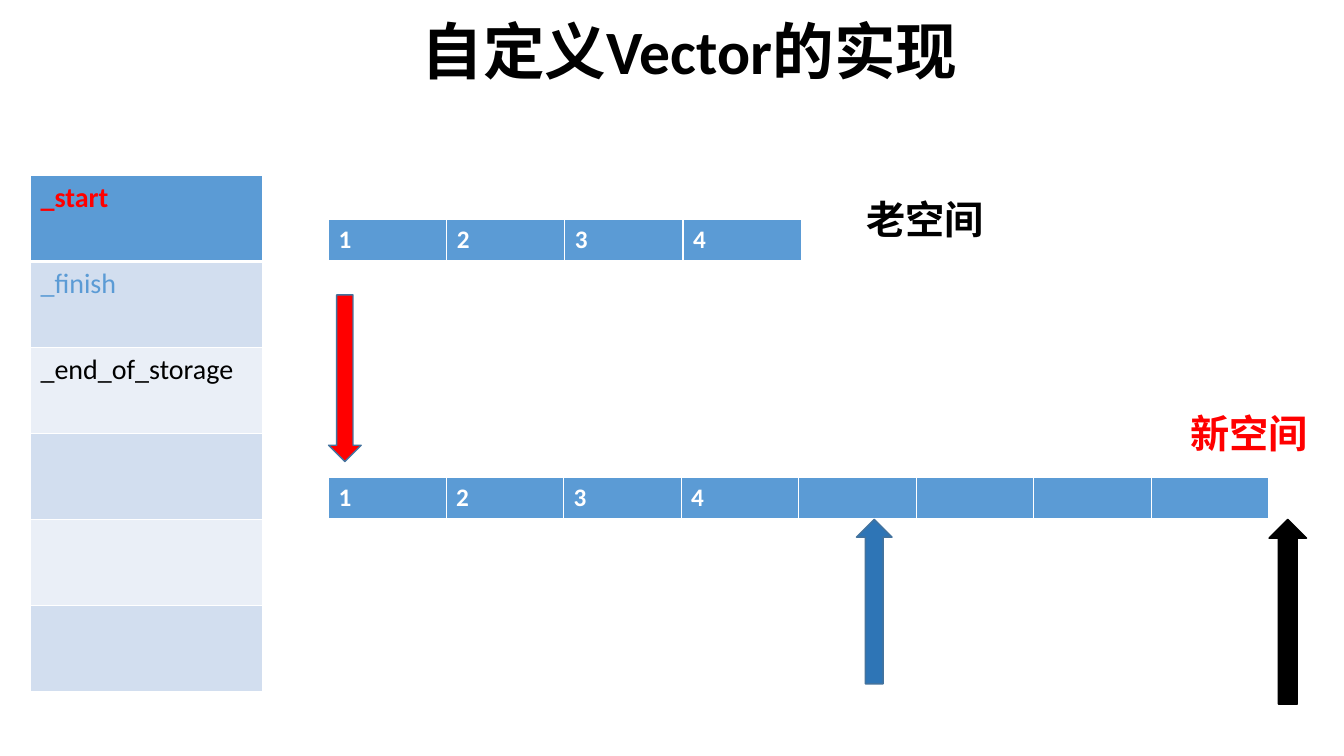
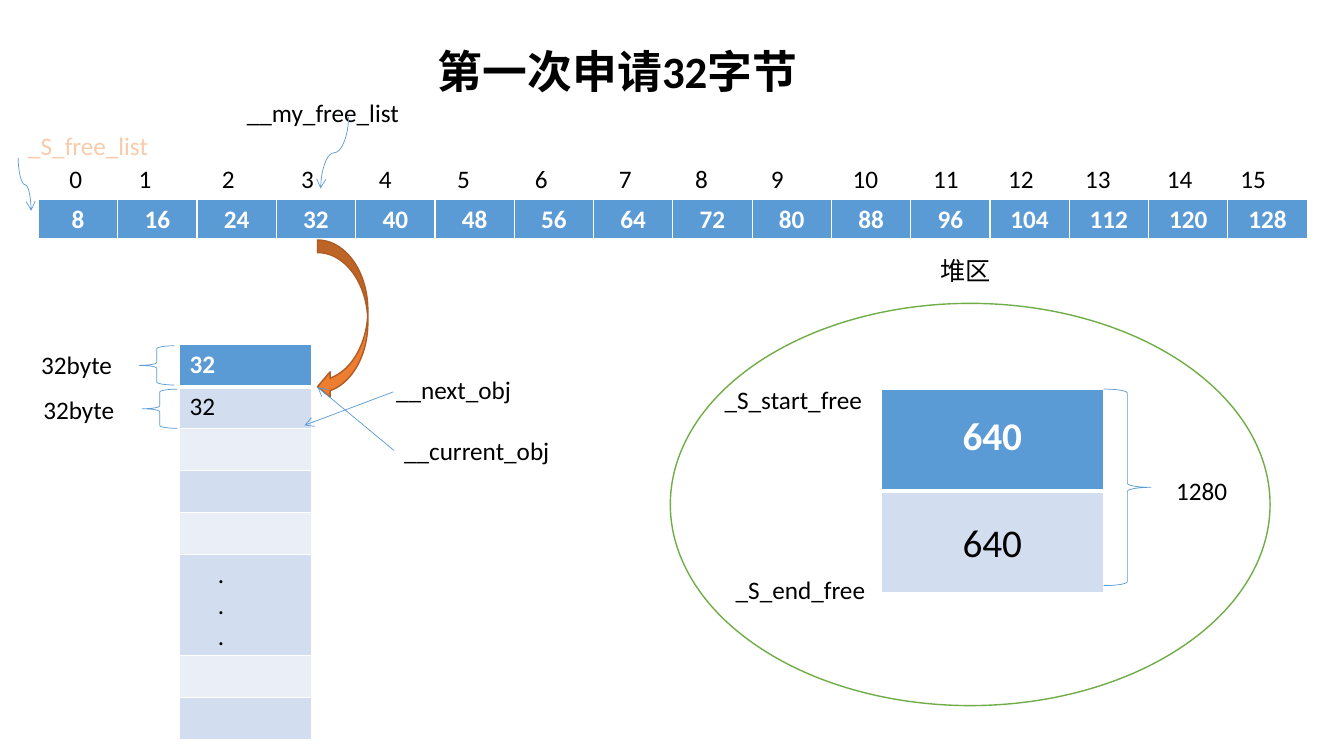
from dataclasses import dataclass

from lxml import etree
from pptx import Presentation
from pptx.dml.color import RGBColor
from pptx.enum.shapes import MSO_CONNECTOR, MSO_SHAPE
from pptx.enum.text import MSO_ANCHOR, MSO_AUTO_SIZE, PP_ALIGN
from pptx.oxml.ns import qn
from pptx.shapes.autoshape import Shape
from pptx.shapes.connector import Connector
from pptx.slide import Slide
from pptx.text.text import TextFrame
from pptx.util import Pt

LEFT, CENTER = PP_ALIGN.LEFT, PP_ALIGN.CENTER
TOP = MSO_ANCHOR.TOP
NO_AUTOFIT = MSO_AUTO_SIZE.NONE
STRAIGHT, CURVE = MSO_CONNECTOR.STRAIGHT, MSO_CONNECTOR.CURVE
DOWN_ARROW, UP_ARROW = MSO_SHAPE.DOWN_ARROW, MSO_SHAPE.UP_ARROW
CURVED_ARROW, OVAL = MSO_SHAPE.CURVED_LEFT_ARROW, MSO_SHAPE.OVAL
LEFT_BRACE, RIGHT_BRACE = MSO_SHAPE.LEFT_BRACE, MSO_SHAPE.RIGHT_BRACE
TITLE_ONLY = 5
LEFT_SIDE = 1
FONT = "Calibri"

COLORS = {
    "black": "000000",
    "white": "FFFFFF",
    "red": "FF0000",
    "blue": "5B9BD5",
    "deep blue": "2E75B6",
    "blue edge": "43739E",
    "dark band": "D2DEEF",
    "light band": "EAEFF7",
    "peach": "F8CBAD",
    "orange": "ED7D31",
    "orange edge": "AF5C24",
    "green": "70AD47",
}


@dataclass
class Label:
    text: str
    left: float
    top: float
    width: float
    size: float = 18
    color: str = "black"
    bold: bool = False


@dataclass
class Figure:
    kind: MSO_SHAPE
    left: float
    top: float
    width: float
    height: float
    fill: str | None
    line: str
    weight: float = 1


@dataclass
class Cell:
    text: str = ""
    fill: str = "blue"
    color: str = "white"
    size: float = 18
    bold: bool = False
    align: PP_ALIGN = LEFT
    spacing: float = 1
    indent: float = 0
    header: bool = False


def rgb(name: str) -> RGBColor:
    return RGBColor.from_string(COLORS[name])


def write_text(frame: TextFrame, text: str, *, size: float, color: str,
               bold: bool = False, align: PP_ALIGN = LEFT,
               spacing: float = 1, indent: float = 0) -> None:
    for index, line in enumerate(text.split("\n")):
        para = frame.paragraphs[0] if index == 0 else frame.add_paragraph()
        para.alignment = align
        para.line_spacing = spacing
        if indent:
            para._p.get_or_add_pPr().set("marL", str(Pt(indent)))
        span = para.add_run()
        span.text = line
        span.font.name = FONT
        span.font.size = Pt(size)
        span.font.bold = bold
        span.font.color.rgb = rgb(color)


def add_title(page: Slide, text: str, left: float, top: float,
              width: float, height: float, size: float) -> None:
    box = page.shapes.title
    box.left, box.top = Pt(left), Pt(top)
    box.width, box.height = Pt(width), Pt(height)
    frame = box.text_frame
    frame.auto_size = NO_AUTOFIT
    frame.vertical_anchor = TOP
    write_text(frame, text, size=size, color="black", bold=True)


def add_label(page: Slide, label: Label) -> Shape:
    box = page.shapes.add_textbox(Pt(label.left), Pt(label.top), Pt(label.width),
                                  Pt(label.size * 1.2 + 7.2))
    box.text_frame.word_wrap = True
    write_text(box.text_frame, label.text, size=label.size,
               color=label.color, bold=label.bold)
    return box


def add_figure(page: Slide, figure: Figure) -> None:
    shape = page.shapes.add_shape(figure.kind, Pt(figure.left), Pt(figure.top),
                                  Pt(figure.width), Pt(figure.height))
    shape.shadow.inherit = False
    if figure.fill:
        shape.fill.solid()
        shape.fill.fore_color.rgb = rgb(figure.fill)
    else:
        shape.fill.background()
    shape.line.color.rgb = rgb(figure.line)
    shape.line.width = Pt(figure.weight)


def style_connector(connector: Connector) -> None:
    connector.line.color.rgb = rgb("blue")
    connector.line.width = Pt(0.5)
    line = connector.line._get_or_add_ln()
    etree.SubElement(line, qn("a:tailEnd"), type="arrow")
    etree.SubElement(connector._element.spPr, qn("a:effectLst"))


def add_arrow(page: Slide, x1: float, y1: float, x2: float, y2: float,
              source: Shape | None = None) -> None:
    connector = page.shapes.add_connector(STRAIGHT, Pt(x1), Pt(y1), Pt(x2), Pt(y2))
    if source is not None:
        connector.begin_connect(source, LEFT_SIDE)
    style_connector(connector)


def add_falling_curve(page: Slide, x1: float, y1: float, x2: float, y2: float) -> None:
    middle_x, middle_y = (x1 + x2) / 2, (y1 + y2) / 2
    reach, drift = (y2 - y1) / 2, (x1 - x2) / 2
    connector = page.shapes.add_connector(
        CURVE, Pt(middle_x - reach), Pt(middle_y - drift),
        Pt(middle_x + reach), Pt(middle_y + drift))
    connector._element.spPr.find(qn("a:xfrm")).set("rot", str(90 * 60000))
    style_connector(connector)


def border_cell(properties: etree._Element, header: bool) -> None:
    for index, side in enumerate("LRTB"):
        weight = 3 if header and side == "B" else 1
        line = etree.Element(qn(f"a:ln{side}"), w=str(Pt(weight)))
        fill = etree.SubElement(line, qn("a:solidFill"))
        etree.SubElement(fill, qn("a:srgbClr"), val=COLORS["white"])
        properties.insert(index, line)


def add_grid(page: Slide, left: float, top: float, column_width: float,
             row_height: float, rows: list[list[Cell]]) -> None:
    count = len(rows[0])
    table = page.shapes.add_table(
        len(rows), count, Pt(left), Pt(top), Pt(column_width * count),
        Pt(row_height * len(rows))).table
    table.first_row = table.horz_banding = False
    for column in table.columns:
        column.width = Pt(column_width)
    for row_index, row in enumerate(rows):
        table.rows[row_index].height = Pt(row_height)
        for column_index, cell in enumerate(row):
            target = table.cell(row_index, column_index)
            target.fill.solid()
            target.fill.fore_color.rgb = rgb(cell.fill)
            border_cell(target._tc.get_or_add_tcPr(), cell.header)
            if cell.text:
                write_text(target.text_frame, cell.text, size=cell.size,
                           color=cell.color, bold=cell.bold, align=cell.align,
                           spacing=cell.spacing, indent=cell.indent)


def header_row(texts: list[str], align: PP_ALIGN = LEFT) -> list[list[Cell]]:
    return [[Cell(text, bold=True, align=align, header=True) for text in texts]]


def banded_column(cells: list[Cell]) -> list[list[Cell]]:
    for index, cell in enumerate(cells):
        if index == 0:
            cell.header = cell.bold = True
        else:
            cell.fill = "dark band" if index % 2 else "light band"
    return [[cell] for cell in cells]


def build_vector_page(page: Slide) -> None:
    add_title(page, "自定义Vector的实现", 294, 5.8, 490, 60.5, 44)
    members = [Cell("_start", color="red", size=20),
               Cell("_finish", color="blue", size=20),
               Cell("_end_of_storage", color="black", size=20),
               Cell(), Cell(), Cell()]
    add_grid(page, 21.8, 125.3, 165.6, 61.4, banded_column(members))
    values = ["1", "2", "3", "4"]
    add_grid(page, 234.7, 157, 84.4, 30, header_row(values))
    add_grid(page, 234.7, 341.3, 83.95, 30, header_row(values + [""] * 4))
    for figure in (
        Figure(DOWN_ARROW, 234.7, 210.7, 23.3, 119, "red", "blue edge"),
        Figure(UP_ARROW, 611.8, 371, 25.4, 117.5, "deep blue", "blue edge"),
        Figure(UP_ARROW, 906.5, 371, 26.8, 132, "black", "black"),
    ):
        add_figure(page, figure)
    add_label(page, Label("老空间", 612, 136.1, 237, 28, bold=True))
    add_label(page, Label("新空间", 843, 288.7, 105, 28, "red", True))


def build_allocation_page(page: Slide) -> None:
    add_title(page, "第一次申请32字节", 305.5, 27.4, 468, 46, 32)
    sizes = [str(8 * (index + 1)) for index in range(16)]
    add_grid(page, 27.5, 142.4, 56.65, 28, header_row(sizes, CENTER))
    index_lefts = [42.5, 92, 151.5, 208, 263.5, 319.5, 375, 435,
                   489.5, 543.5, 602, 659.5, 713, 768, 826.5, 879]
    for index, left in enumerate(index_lefts):
        add_label(page, Label(str(index), left, 113, 44))

    add_figure(page, Figure(OVAL, 478.8, 216.7, 428.4, 287.3, "white", "green"))
    halves = [Cell("640", size=28, align=CENTER, spacing=1.4),
              Cell("640", color="black", size=28, align=CENTER, spacing=1.5)]
    add_grid(page, 629.3, 277.9, 159, 72.7, banded_column(halves))
    blocks = [Cell("32"), Cell("32", color="black"), Cell(), Cell(), Cell(),
              Cell(".\n.\n.", color="black", indent=20.3), Cell(), Cell()]
    add_grid(page, 128.2, 246.2, 94.3, 30, banded_column(blocks))

    for figure in (
        Figure(RIGHT_BRACE, 788.4, 277.9, 33.8, 140.4, None, "blue", 0.5),
        Figure(LEFT_BRACE, 99.4, 247, 25.2, 28, None, "blue", 0.5),
        Figure(LEFT_BRACE, 101.5, 278, 25.2, 28, None, "blue", 0.5),
        Figure(CURVED_ARROW, 226.8, 171.4, 36, 113.8, "orange", "orange edge"),
    ):
        add_figure(page, figure)
    for label in (
        Label("_S_free_list", 13, 89.3, 130, color="peach"),
        Label("__my_free_list", 169.2, 66.2, 145),
        Label("堆区", 664.5, 178.6, 117),
        Label("1280", 833, 336.2, 60),
        Label("_S_start_free", 510.5, 270.7, 117),
        Label("_S_end_free", 518.4, 406.8, 107),
        Label("32byte", 22.3, 246.2, 68),
        Label("32byte", 23.8, 277.9, 68),
        Label("__next_obj", 275.8, 264.2, 185),
    ):
        add_label(page, label)
    current = add_label(page, Label("__current_obj", 281.5, 307.4, 146))
    add_arrow(page, 281.5, 321.8, 226.8, 276.5, current)
    add_arrow(page, 280.8, 280, 217.4, 303.8)
    add_falling_curve(page, 13, 113, 22.3, 150.5)
    add_falling_curve(page, 249, 83.5, 229, 134.6)


def main() -> None:
    deck = Presentation()
    deck.slide_width, deck.slide_height = Pt(960), Pt(540)
    for build in (build_vector_page, build_allocation_page):
        build(deck.slides.add_slide(deck.slide_layouts[TITLE_ONLY]))
    deck.save("out.pptx")


if __name__ == "__main__":
    main()
